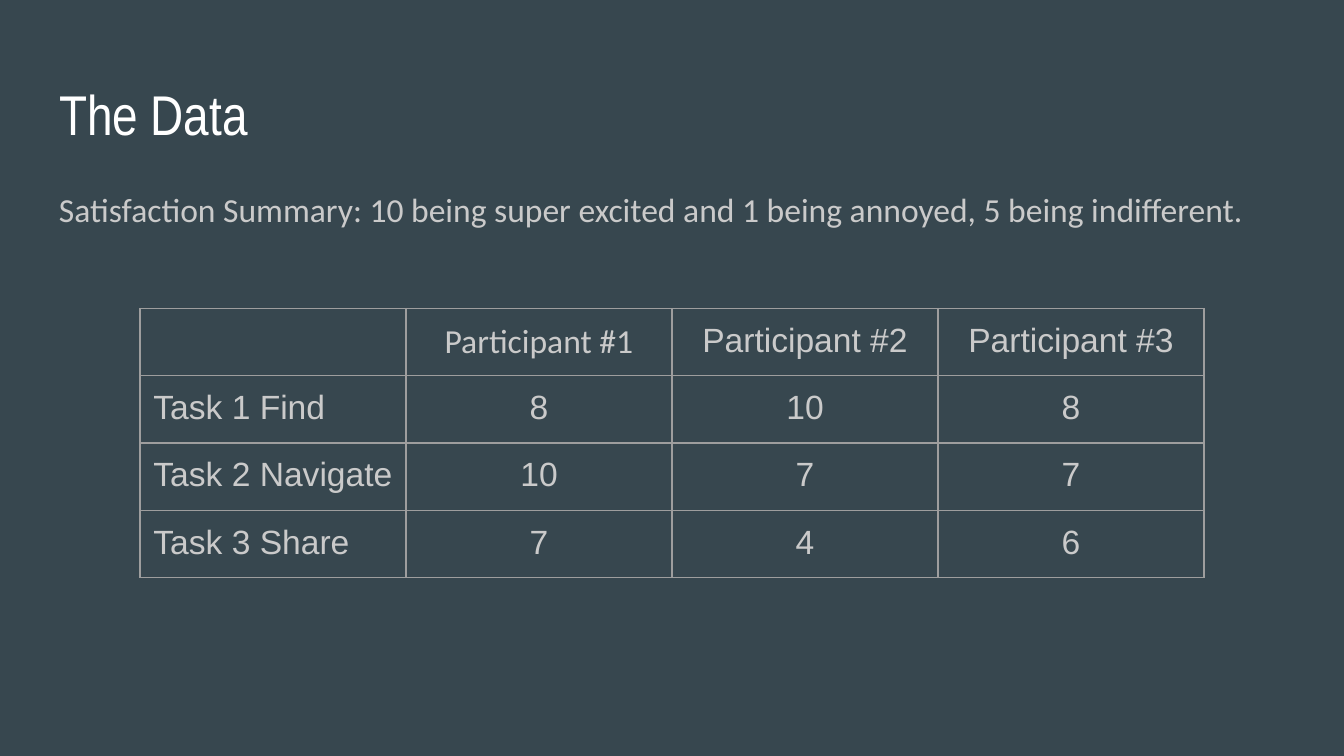
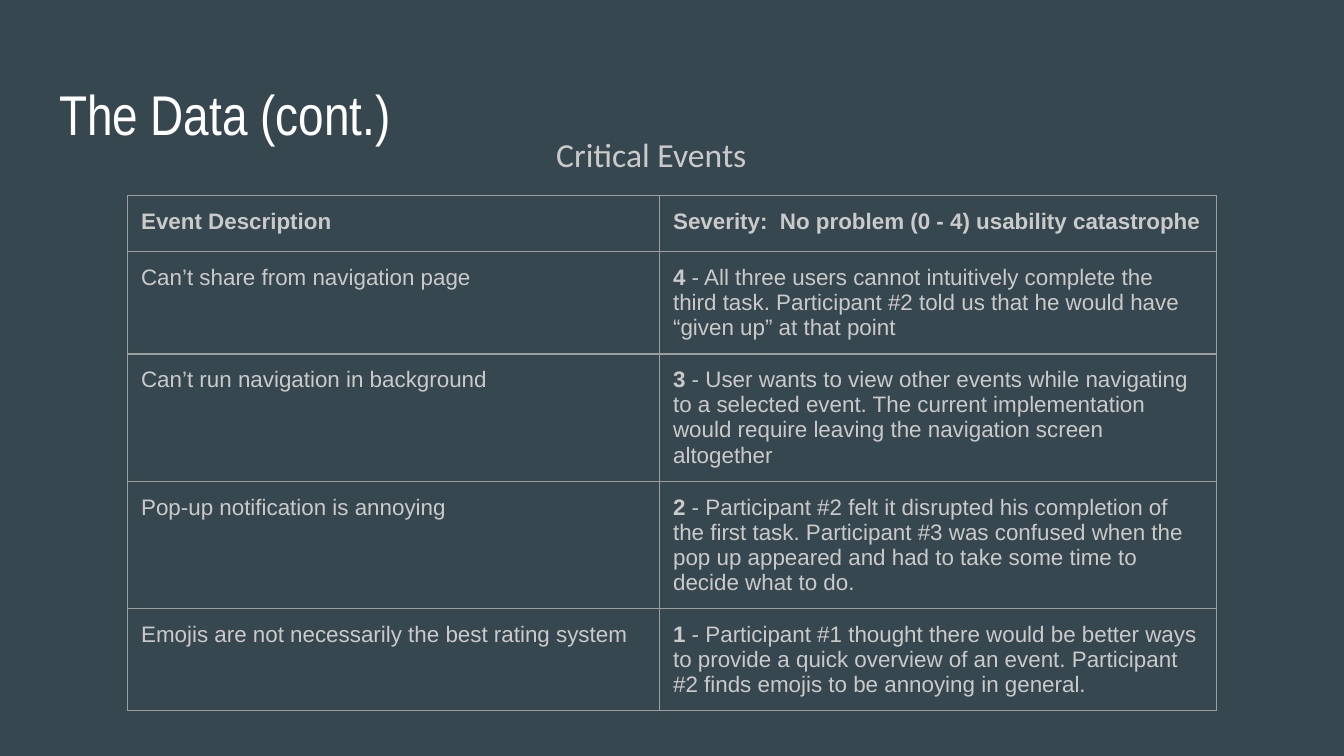
"""Build two usability-test data slides, each with a title, a caption and a table."""
from lxml.etree import SubElement
from pptx import Presentation
from pptx.dml.color import RGBColor
from pptx.enum.text import MSO_ANCHOR, MSO_AUTO_SIZE, PP_ALIGN
from pptx.oxml.ns import qn
from pptx.util import Pt

COLORS = {"bg": "37474F", "title": "FFFFFF", "text": "CACACA", "border": "9E9E9E"}
INSET = 7.2
ROW_HEIGHT = 30


def write(tf, text, font="Arial", size=18, color="text", bold=False, align=PP_ALIGN.LEFT):
    tf.word_wrap = True
    tf.margin_left = tf.margin_right = tf.margin_top = tf.margin_bottom = Pt(INSET)
    p = tf.paragraphs[0]
    p.alignment = align
    r = p.add_run()
    r.text = text
    r.font.name = font
    r.font.size = Pt(size)
    r.font.bold = bold
    r.font.color.rgb = RGBColor.from_string(COLORS[color])
    return p


def add_grid(s, left, top, widths, n_rows):
    shape = s.shapes.add_table(n_rows, len(widths), Pt(left), Pt(top),
                               Pt(sum(widths)), Pt(ROW_HEIGHT * n_rows))
    table = shape.table
    table.first_row = table.horz_banding = False
    for col, width in zip(table.columns, widths):
        col.width = Pt(width)
    for row in table.rows:
        row.height = Pt(ROW_HEIGHT)
    for cell in table.iter_cells():
        cell.margin_left = cell.margin_right = Pt(INSET)
        cell.margin_top = cell.margin_bottom = Pt(INSET)
        tcPr = cell._tc.get_or_add_tcPr()
        for side in ("lnL", "lnR", "lnT", "lnB"):
            ln = SubElement(tcPr, qn(f"a:{side}"), w=str(Pt(0.75)))
            SubElement(SubElement(ln, qn("a:solidFill")), qn("a:srgbClr"), val=COLORS["border"])
        cell.fill.background()
    return table


prs = Presentation()
prs.slide_width, prs.slide_height = Pt(720), Pt(405)
bg = prs.slide_master.background.fill
bg.solid()
bg.fore_color.rgb = RGBColor.from_string(COLORS["bg"])

slides = []
for title in ("The Data", "The Data (cont.)"):
    s = prs.slides.add_slide(prs.slide_layouts[5])
    sp = s.shapes.title
    sp.left, sp.top, sp.width, sp.height = Pt(24.5), Pt(35.3), Pt(671), Pt(45.4)
    tf = sp.text_frame
    tf.auto_size = MSO_AUTO_SIZE.NONE
    tf.vertical_anchor = MSO_ANCHOR.TOP
    write(tf, title, font="Arial Narrow", size=30, color="title")
    slides.append(s)
ratings_slide, events_slide = slides

tb = ratings_slide.shapes.add_textbox(Pt(24.5), Pt(90.7), Pt(671), Pt(269.3))
p = write(tb.text_frame, "Satisfaction Summary: 10 being super excited and 1 being annoyed, "
          "5 being indifferent.", font="Calibri")
p.line_spacing = 1.15
p.space_before, p.space_after = Pt(14), Pt(4)

ratings = [
    ("", "Participant #1", "Participant #2", "Participant #3"),
    ("Task 1 Find", "8", "10", "8"),
    ("Task 2 Navigate", "10", "7", "7"),
    ("Task 3 Share", "7", "4", "6"),
]
table = add_grid(ratings_slide, 75, 165.3, [142.5] * 4, len(ratings))
for i, row in enumerate(ratings):
    for j, text in enumerate(row):
        if text:
            write(table.cell(i, j).text_frame, text,
                  font="Calibri" if (i, j) == (0, 1) else "Arial",
                  align=PP_ALIGN.CENTER if j else PP_ALIGN.LEFT)

events = [
    ("Can’t share from navigation page", "4",
     "All three users cannot intuitively complete the third task. Participant #2 told us "
     "that he would have “given up” at that point"),
    ("Can’t run navigation in background", "3",
     "User wants to view other events while navigating to a selected event. The current "
     "implementation would require leaving the navigation screen altogether"),
    ("Pop-up notification is annoying", "2",
     "Participant #2 felt it disrupted his completion of the first task. Participant #3 was "
     "confused when the pop up appeared and had to take some time to decide what to do."),
    ("Emojis are not necessarily the best rating system", "1",
     "Participant #1 thought there would be better ways to provide a quick overview of an "
     "event. Participant #2 finds emojis to be annoying in general."),
]
table = add_grid(events_slide, 68.4, 104.9, [285, 298.3], len(events) + 1)
headers = ("Event Description", "Severity:  No problem (0 - 4) usability catastrophe")
for j, text in enumerate(headers):
    write(table.cell(0, j).text_frame, text, size=12, bold=True)
for i, (event, severity, reason) in enumerate(events, 1):
    write(table.cell(i, 0).text_frame, event, size=12)
    tf = table.cell(i, 1).text_frame
    write(tf, severity, size=12, bold=True)
    write(tf, f" - {reason}", size=12)

tb = events_slide.shapes.add_textbox(Pt(290.9), Pt(64.8), Pt(138.2), Pt(36))
write(tb.text_frame, "Critical Events", font="Calibri")

prs.save("out.pptx")
